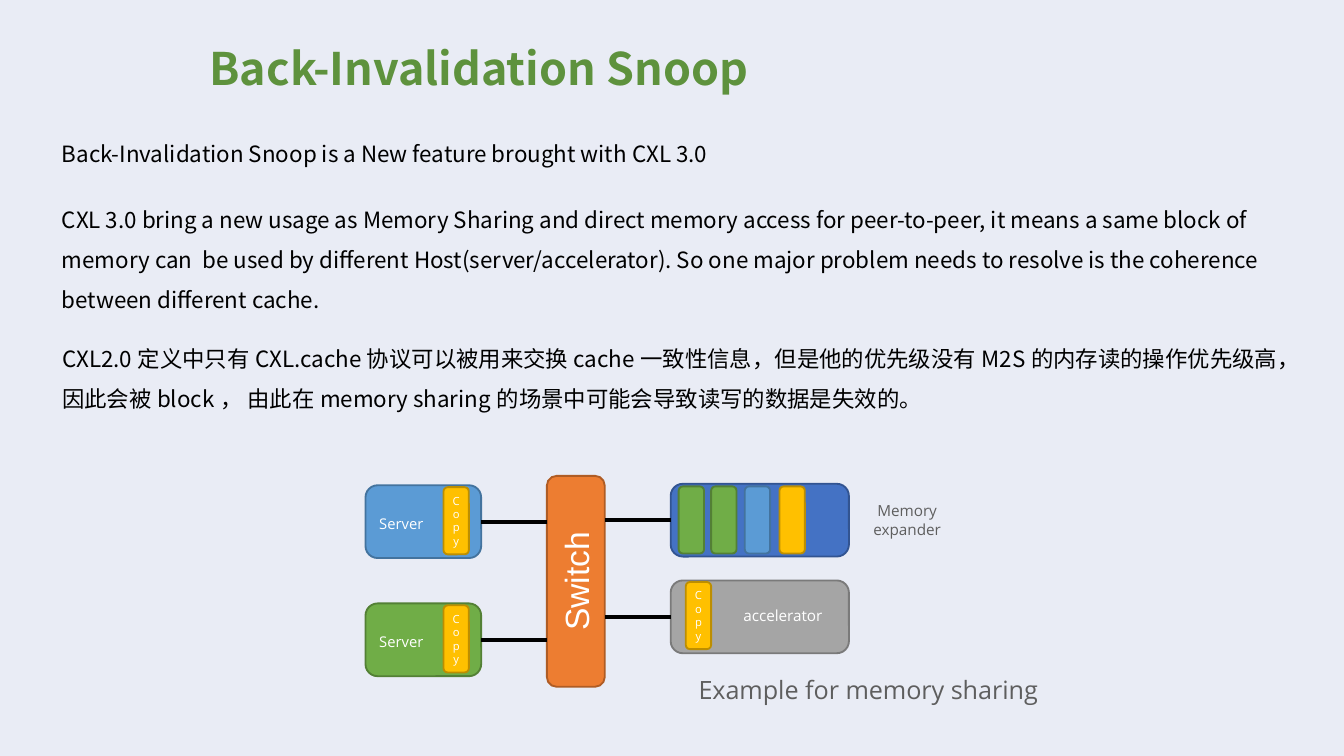
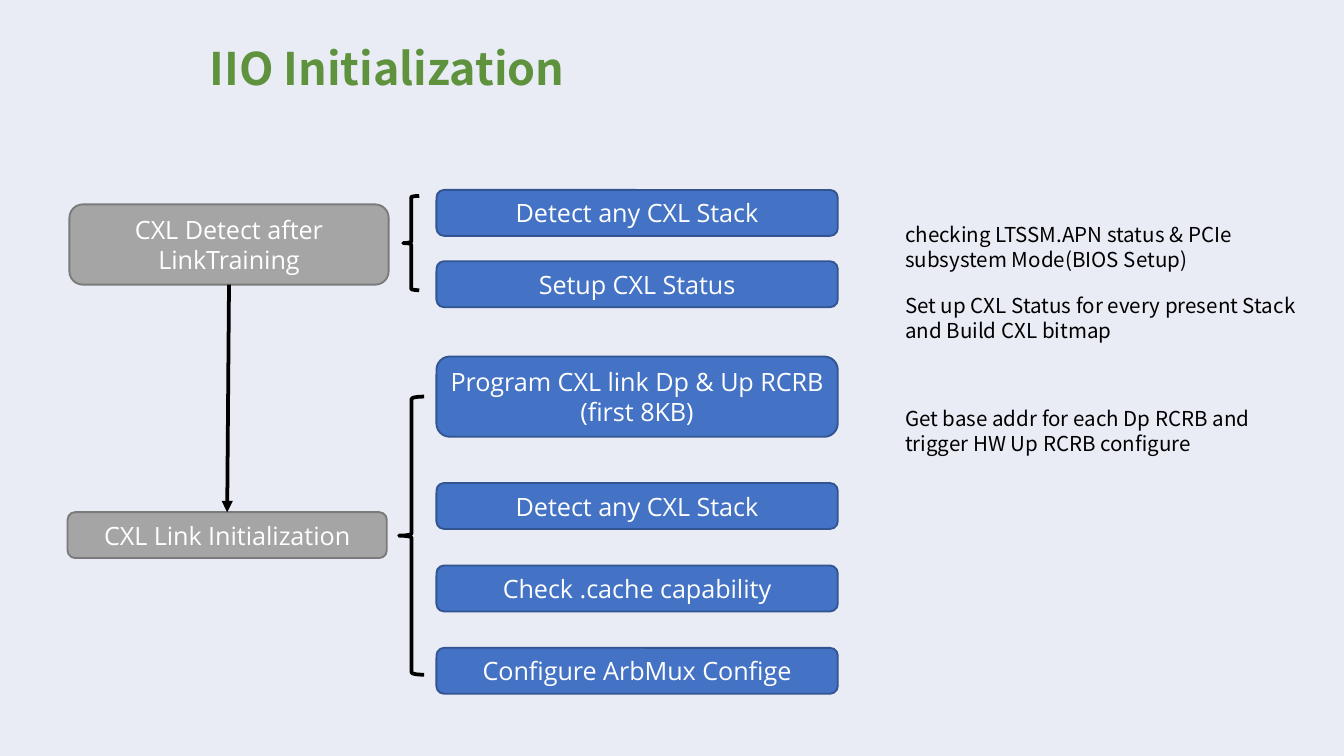
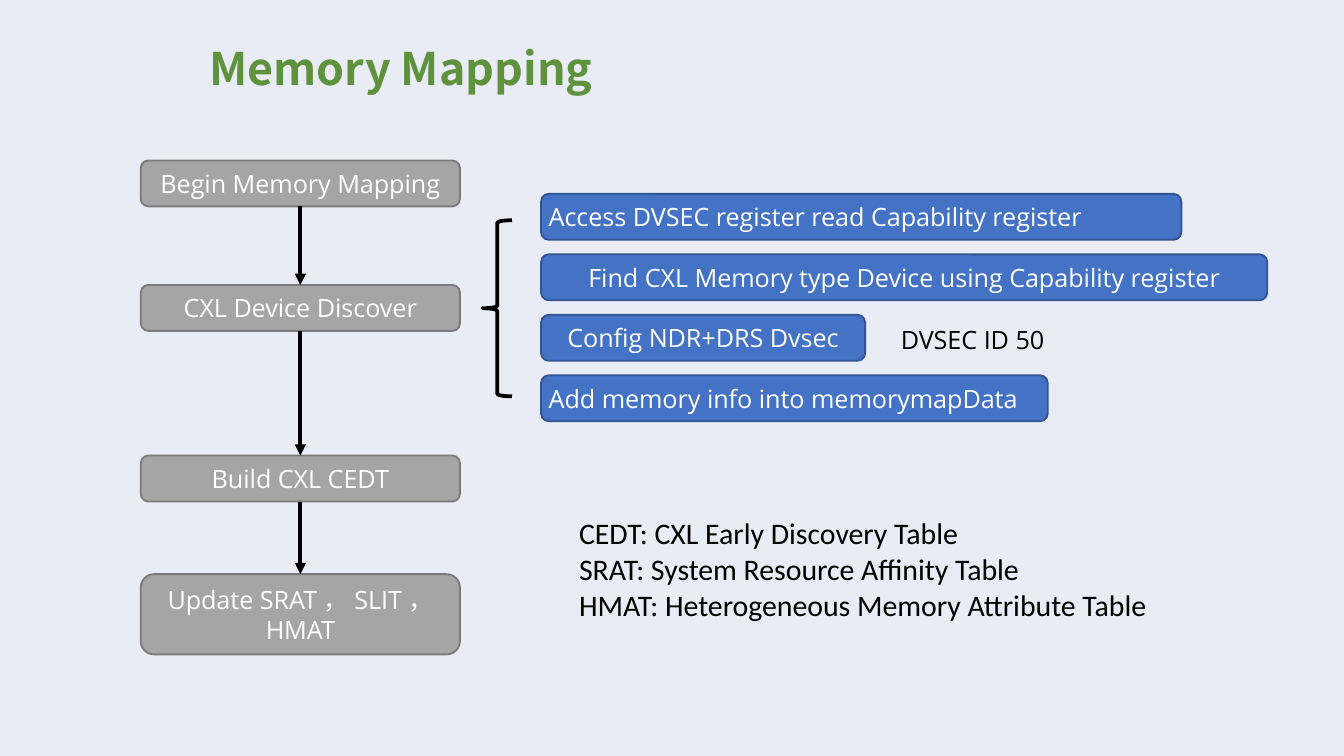
from lxml import etree
from pptx import Presentation
from pptx.dml.color import RGBColor
from pptx.enum import shapes, text
from pptx.oxml import ns
from pptx.util import Pt

BACKGROUND = RGBColor(0xE9, 0xEC, 0xF5)
TITLE_GREEN = RGBColor(0x5E, 0x92, 0x3D)
BLACK = RGBColor(0, 0, 0)
WHITE = RGBColor(0xFF, 0xFF, 0xFF)
CAPTION = RGBColor(0x5E, 0x5E, 0x5E)
BLUE = RGBColor(0x44, 0x72, 0xC4)
SKY = RGBColor(0x5B, 0x9B, 0xD5)
GREEN = RGBColor(0x70, 0xAD, 0x47)
ORANGE = RGBColor(0xED, 0x7D, 0x31)
GOLD = RGBColor(0xFF, 0xC0, 0x00)
GRAY = RGBColor(0xA5, 0xA5, 0xA5)
OUTLINES = {
    BLUE: RGBColor(0x32, 0x54, 0x91),
    SKY: RGBColor(0x43, 0x73, 0x9E),
    GREEN: RGBColor(0x53, 0x80, 0x35),
    ORANGE: RGBColor(0xAF, 0x5C, 0x24),
    GOLD: RGBColor(0xBD, 0x8E, 0x00),
    GRAY: RGBColor(0x7A, 0x7A, 0x7A),
}

SANS = "Open Sans"
CJK = "Noto Sans CJK SC"
INSET = 2.86
TOP, LEFT, BOTTOM, RIGHT = range(4)
ROW_H, TALL_H = 33.5 / 1.36, 43
ROW_H = round(ROW_H, 1)
STEP_W = 171
CHIP_W, CHIP_H = 13.6, 36


def points(*values):
    return [Pt(v) for v in values]


def write(sp, content, size=13.5, font=SANS, color=WHITE, bold=False,
          align=text.PP_ALIGN.LEFT, anchor=text.MSO_ANCHOR.MIDDLE,
          spacing=None, insets=(INSET, INSET), bullets=None):
    tf = sp.text_frame
    tf.word_wrap = True
    tf.auto_size = text.MSO_AUTO_SIZE.NONE
    tf.vertical_anchor = anchor
    tf.margin_left = tf.margin_right = Pt(insets[0])
    tf.margin_top = tf.margin_bottom = Pt(insets[1])
    for i, line in enumerate(content.split("\n")):
        p = tf.add_paragraph() if i else tf.paragraphs[0]
        p.alignment = align
        p.space_before = Pt(0)
        if spacing:
            p.line_spacing = spacing
        if bullets is False:
            pPr = p._p.get_or_add_pPr()
            pPr.set("marL", "0")
            pPr.set("indent", "0")
            etree.SubElement(pPr, ns.qn("a:buNone"))
        r = p.add_run()
        r.text = line
        r.font.size = Pt(size)
        r.font.bold = bold
        r.font.color.rgb = color
        r.font.name = font
        ea = etree.SubElement(r._r.get_or_add_rPr(), ns.qn("a:ea"))
        ea.set("typeface", CJK)


def place(sp, x, y, w, h):
    sp.left, sp.top, sp.width, sp.height = points(x, y, w, h)


def add_slide(prs, title, layout=5, width=406):
    s = prs.slides.add_slide(prs.slide_layouts[layout])
    place(s.shapes.title, 105, 2, width, 47)
    write(s.shapes.title, title, size=24, font=CJK, color=TITLE_GREEN, bold=True,
          anchor=text.MSO_ANCHOR.TOP, spacing=Pt(45), insets=(7.2, 3.6))
    return s


def add_label(s, x, y, w, h, content, **fmt):
    sp = s.shapes.add_textbox(*points(x, y, w, h))
    write(sp, content, **fmt)


def add_note(s, x, y, w, h, content, size=12, **fmt):
    add_label(s, x, y, w, h, content, size=size, font=CJK, color=BLACK, **fmt)


def add_box(s, x, y, w, h, fill, content="", align=text.PP_ALIGN.CENTER, **fmt):
    sp = s.shapes.add_shape(shapes.MSO_SHAPE.ROUNDED_RECTANGLE, *points(x, y, w, h))
    sp.shadow.inherit = False
    sp.fill.solid()
    sp.fill.fore_color.rgb = fill
    sp.line.color.rgb = OUTLINES[fill]
    sp.line.width = Pt(1)
    if content:
        write(sp, content, align=align, **fmt)
    return sp


def add_copy(s, x, y):
    add_box(s, x, y, CHIP_W, CHIP_H, GOLD, "Copy", size=6)


def add_brace(s, x, y, w, h):
    sp = s.shapes.add_shape(shapes.MSO_SHAPE.LEFT_BRACE, *points(x, y, w, h))
    sp.shadow.inherit = False
    sp.fill.background()
    sp.line.color.rgb = BLACK
    sp.line.width = Pt(2)


def add_line(s, x1, y1, x2, y2):
    c = s.shapes.add_connector(shapes.MSO_CONNECTOR.STRAIGHT, *points(x1, y1, x2, y2))
    c.line.color.rgb = BLACK
    c.line.width = Pt(2)
    etree.SubElement(c._element.spPr, ns.qn("a:effectLst"))
    return c


def add_arrow(s, upper, lower):
    c = add_line(s, 0, 0, 0, 0)
    c.begin_connect(upper, BOTTOM)
    c.end_connect(lower, TOP)
    etree.SubElement(c.line._get_or_add_ln(), ns.qn("a:tailEnd")).set("type", "triangle")


def add_server(s, y, fill, switch_x):
    server = add_box(s, 195.8, y, 62, 39, fill)
    add_label(s, 199, y + 12.4, 32, 15.8, "Server", size=7.9,
              align=text.PP_ALIGN.CENTER)
    add_copy(s, 237.6, y + 1)
    mid = y + 19.5
    add_line(s, 257.8, mid, switch_x, mid).begin_connect(server, RIGHT)


def add_device(s, y, fill, switch_x):
    device = add_box(s, 359.3, y, 95.5, 39, fill)
    mid = y + 19.5
    add_line(s, switch_x, mid, 359.3, mid).end_connect(device, LEFT)


def snoop_slide(prs):
    s = add_slide(prs, "Back-Invalidation Snoop", width=366)
    add_note(s, 30.3, 72, 634, 21,
             "Back-Invalidation Snoop is a New feature brought with CXL 3.0")
    add_note(s, 30.3, 100, 657, 71,
             "CXL 3.0 bring a new usage as Memory Sharing and direct memory access for "
             "peer-to-peer, it means a same block of memory can  be used by different "
             "Host(server/accelerator). So one major problem needs to resolve is the "
             "coherence between different cache.", spacing=1.5)
    add_note(s, 30.5, 174.2, 657, 50,
             "CXL2.0定义中只有CXL.cache协议可以被用来交换cache一致性信息，"
             "但是他的优先级没有M2S的内存读的操作优先级高，因此会被block， "
             "由此在memory sharing的场景中可能会导致读写的数据是失效的。", spacing=1.5)

    switch = add_box(s, 252, 295.9, 113, 31, ORANGE, "Switch", size=18, font="Arial")
    switch.rotation = 270
    switch_left, switch_right = 293, 324
    for y, fill in ((260, SKY), (323.3, GREEN)):
        add_server(s, y, fill, switch_left)
    for y, fill in ((259.2, BLUE), (311, GRAY)):
        add_device(s, y, fill, switch_right)

    for x, fill in ((363.6, GREEN), (381, GREEN), (399, SKY), (417.6, GOLD)):
        add_box(s, x, 260.6, CHIP_W, CHIP_H, fill)
    add_copy(s, 367.4, 311.8)

    center = text.PP_ALIGN.CENTER
    add_label(s, 389.5, 321.8, 59.8, 15.8, "accelerator", size=8.2, align=center)
    add_label(s, 454.3, 265.7, 63.4, 25.9, "Memory expander", size=8.2,
              color=CAPTION, align=center)
    add_label(s, 359.3, 358, 211.7, 22.3, "Example for memory sharing",
              color=CAPTION, align=center)


def initialization_slide(prs):
    s = add_slide(prs, "IIO Initialization")
    detect = add_box(s, 37.2, 109.5, STEP_W, TALL_H, GRAY, "CXL Detect after LinkTraining")
    link = add_box(s, 36.2, 274.4, STEP_W, ROW_H, GRAY, "CXL Link Initialization")
    for y, h, content in (
        (101.8, ROW_H, "Detect any CXL Stack"),
        (140, ROW_H, "Setup CXL Status"),
        (191, TALL_H, "Program CXL link Dp & Up RCRB (first 8KB)"),
        (258.8, ROW_H, "Detect any CXL Stack"),
        (303, ROW_H, "Check .cache capability"),
        (347.1, ROW_H, "Configure ArbMux Confige"),
    ):
        add_box(s, 233.8, y, 215, h, BLUE, content)
    add_brace(s, 216, 105, 8.6, 50.5)
    add_brace(s, 213.8, 212.5, 13.5, 149)
    add_arrow(s, detect, link)
    for y, content in (
        (116, "checking LTSSM.APN status & PCIe subsystem Mode(BIOS Setup)"),
        (154.1, "Set up CXL Status for every present Stack and Build CXL bitmap"),
        (214.5, "Get base addr for each Dp RCRB and trigger HW Up RCRB configure"),
    ):
        add_note(s, 482, y, 221, 32.5, content, size=11)


def mapping_slide(prs):
    s = add_slide(prs, "Memory Mapping", layout=1)
    steps = [add_box(s, 75.4, y, STEP_W, h, GRAY, content) for y, h, content in (
        (86, ROW_H, "Begin Memory Mapping"),
        (152.7, ROW_H, "CXL Device Discover"),
        (244.1, ROW_H, "Build CXL CEDT"),
        (307.6, TALL_H, "Update SRAT，SLIT， HMAT"),
    )]
    for upper, lower in zip(steps, steps[1:]):
        add_arrow(s, upper, lower)

    add_brace(s, 258.5, 118, 15.8, 94.3)
    left, center = text.PP_ALIGN.LEFT, text.PP_ALIGN.CENTER
    for i, (w, align, content) in enumerate((
        (343, left, "Access DVSEC register read Capability register"),
        (389, center, "Find CXL Memory type Device using Capability register"),
        (173.6, center, "Config NDR+DRS Dvsec"),
        (271.4, left, "Add memory info into memorymapData"),
    )):
        add_box(s, 289.9, 103.9 + 32.4 * i, w, ROW_H, BLUE, content, align=align)
    add_label(s, 479.7, 170.8, 228, 22.3, "DVSEC ID 50", color=BLACK)

    glossary = s.placeholders[1]
    place(glossary, 303, 272.2, 364, 65.5)
    write(glossary,
          "CEDT: CXL Early Discovery Table\n"
          "SRAT: System Resource Affinity Table\n"
          "HMAT: Heterogeneous Memory Attribute Table",
          size=16, font="Calibri", color=BLACK, anchor=text.MSO_ANCHOR.TOP,
          insets=(7.2, 3.6), bullets=False)


def main():
    prs = Presentation()
    prs.slide_width, prs.slide_height = points(720, 405)
    fill = prs.slide_master.background.fill
    fill.solid()
    fill.fore_color.rgb = BACKGROUND
    snoop_slide(prs)
    initialization_slide(prs)
    mapping_slide(prs)
    prs.save("out.pptx")


if __name__ == "__main__":
    main()
